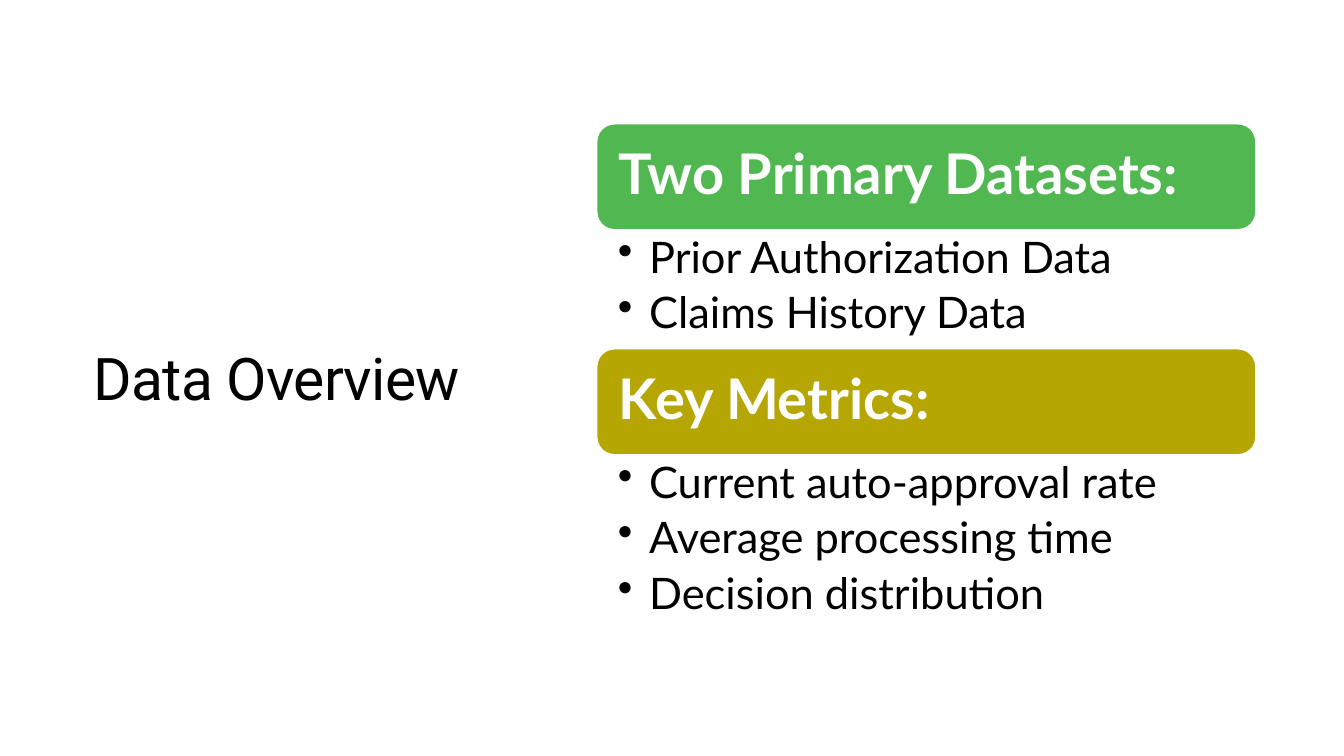
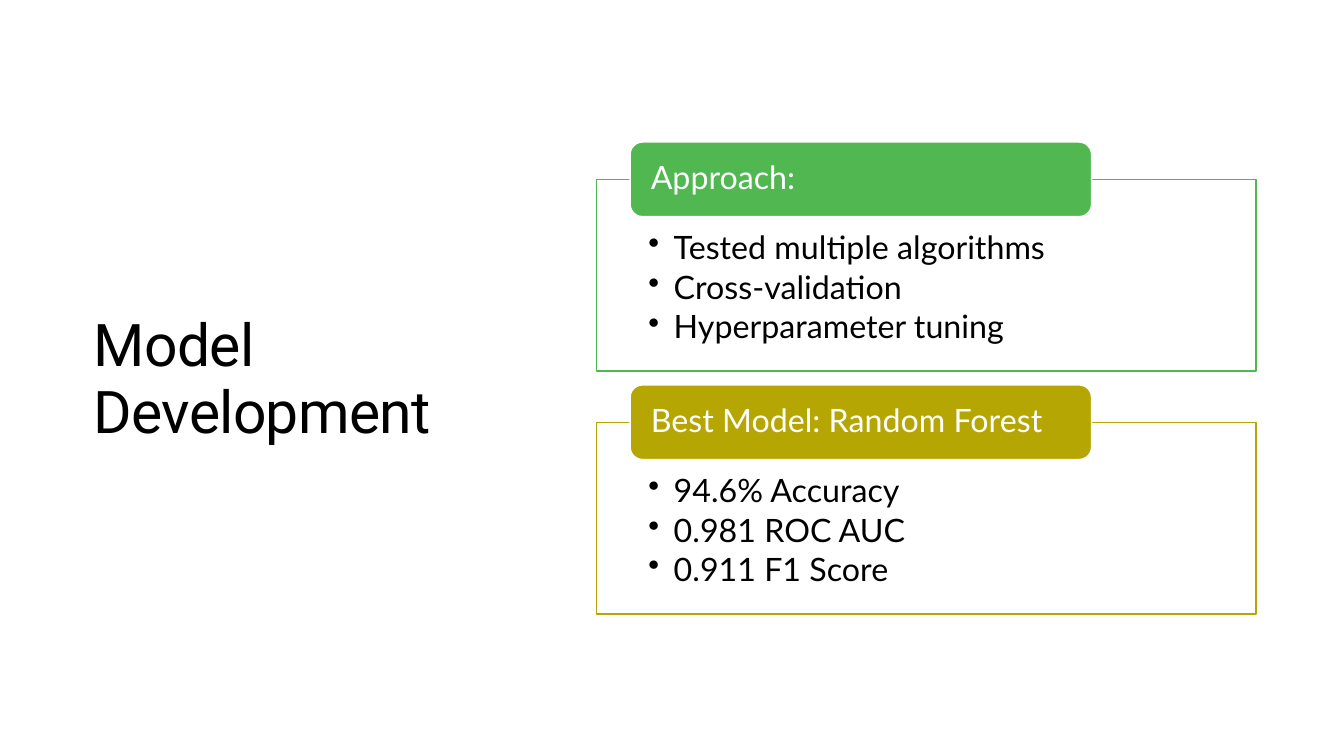
from lxml.etree import SubElement
from pptx import Presentation
from pptx.dml.color import RGBColor
from pptx.enum.shapes import MSO_SHAPE as Shape
from pptx.enum.text import MSO_ANCHOR as Anchor, MSO_AUTO_SIZE as Fit, PP_ALIGN as Align
from pptx.oxml.ns import qn
from pptx.util import Cm, Pt

GREEN, OLIVE, WHITE, BLACK = "51B851", "B5A603", "FFFFFF", "000000"
HUES = [GREEN, OLIVE]
LEFT, WIDTH = 15.04, 16.61  # right-hand column, in cm

DATA = ("Data Overview", [
    ("Two Primary Datasets:", ["Prior Authorization Data", "Claims History Data"]),
    ("Key Metrics:", ["Current auto-approval rate", "Average processing time",
                      "Decision distribution"]),
])
MODEL = ("Model Development", [
    ("Approach:", ["Tested multiple algorithms", "Cross-validation",
                   "Hyperparameter tuning"]),
    ("Best Model: Random Forest", ["94.6% Accuracy", "0.981 ROC AUC", "0.911 F1 Score"]),
])


def rgb(code):
    return RGBColor.from_string(code)


def write(shape, lines, size, color, font="Lato", bold=False, space=0.9,
          anchor=Anchor.MIDDLE, pads=(0.43, 0, 0.43, 0)):
    """Fill a shape with left-aligned paragraphs; pads are left, top, right, bottom in cm."""
    frame = shape.text_frame
    frame.text = "\n".join(lines)
    frame.word_wrap, frame.auto_size = True, Fit.NONE
    frame.vertical_anchor = anchor
    (frame.margin_left, frame.margin_top,
     frame.margin_right, frame.margin_bottom) = map(Cm, pads)
    for para in frame.paragraphs:
        para.alignment, para.line_spacing = Align.LEFT, space
        for run in para.runs:
            run.font.name, run.font.size, run.font.bold = font, Pt(size), bold
            run.font.color.rgb = rgb(color)


def bullets(shape, lines, size, indent, gap, pads):
    write(shape, lines, size, BLACK, anchor=Anchor.TOP, pads=pads)
    for para in shape.text_frame.paragraphs:
        para.space_after = Pt(gap)
        props = para._p.get_or_add_pPr()
        props.set("marL", str(Cm(indent)))
        props.set("indent", str(-Cm(indent)))
        SubElement(props, qn("a:buChar"), char="•")


def box(slide, kind, x, y, w, h, fill, line):
    shape = slide.shapes.add_shape(kind, Cm(x), Cm(y), Cm(w), Cm(h))
    shape.shadow.inherit = False
    shape.fill.solid()
    shape.fill.fore_color.rgb = rgb(fill)
    shape.line.color.rgb = rgb(line)
    shape.line.width = Pt(1)
    return shape


def new_slide(deck, name):
    slide = deck.slides.add_slide(deck.slide_layouts[5])
    title = slide.shapes.title
    title.left, title.top, title.width, title.height = map(Cm, (2.11, 2.16, 10.85, 14.83))
    write(title, [name], 42, BLACK, "Roboto", space=0.95, pads=(0.25, 0.13, 0.25, 0.13))
    title.text_frame.paragraphs[0].runs[0].font._element.set("spc", "-50")
    return slide


def stack(deck, name, groups):
    """Full-width headings, each followed by its list."""
    slide, y, head, row = new_slide(deck, name), 3.12, 2.67, 1.5
    for hue, (label, items) in zip(HUES, groups):
        bar = box(slide, Shape.ROUNDED_RECTANGLE, LEFT, y, WIDTH, head, hue, WHITE)
        write(bar, [label], 40, WHITE, bold=True)
        y += head
        tall = row * len(items)
        area = slide.shapes.add_textbox(Cm(LEFT), Cm(y), Cm(WIDTH), Cm(tall))
        bullets(area, items, 31, 0.79, 6.2, (0.53, 0.15, 0.79, 0.15))
        y += tall


def panels(deck, name, groups):
    """Outlined panels, each with a heading tab centred on its top edge."""
    slide, top, step, tab = new_slide(deck, name), 4.52, 6.12, 1.88
    for i, (hue, (label, items)) in enumerate(zip(HUES, groups)):
        y = top + i * step
        panel = box(slide, Shape.RECTANGLE, LEFT, y, WIDTH, 4.83, WHITE, hue)
        bullets(panel, items, 23, 0.64, 3.45, (1.3, 1.32, 1.3, 0.46))
        head = box(slide, Shape.ROUNDED_RECTANGLE, LEFT + 0.84, y - tab / 2, 11.63, tab,
                   hue, WHITE)
        write(head, [label], 23, WHITE)


def main():
    deck = Presentation()
    deck.slide_width, deck.slide_height = Cm(33.87), Cm(19.05)
    stack(deck, *DATA)
    panels(deck, *MODEL)
    deck.save("out.pptx")


if __name__ == "__main__":
    main()
